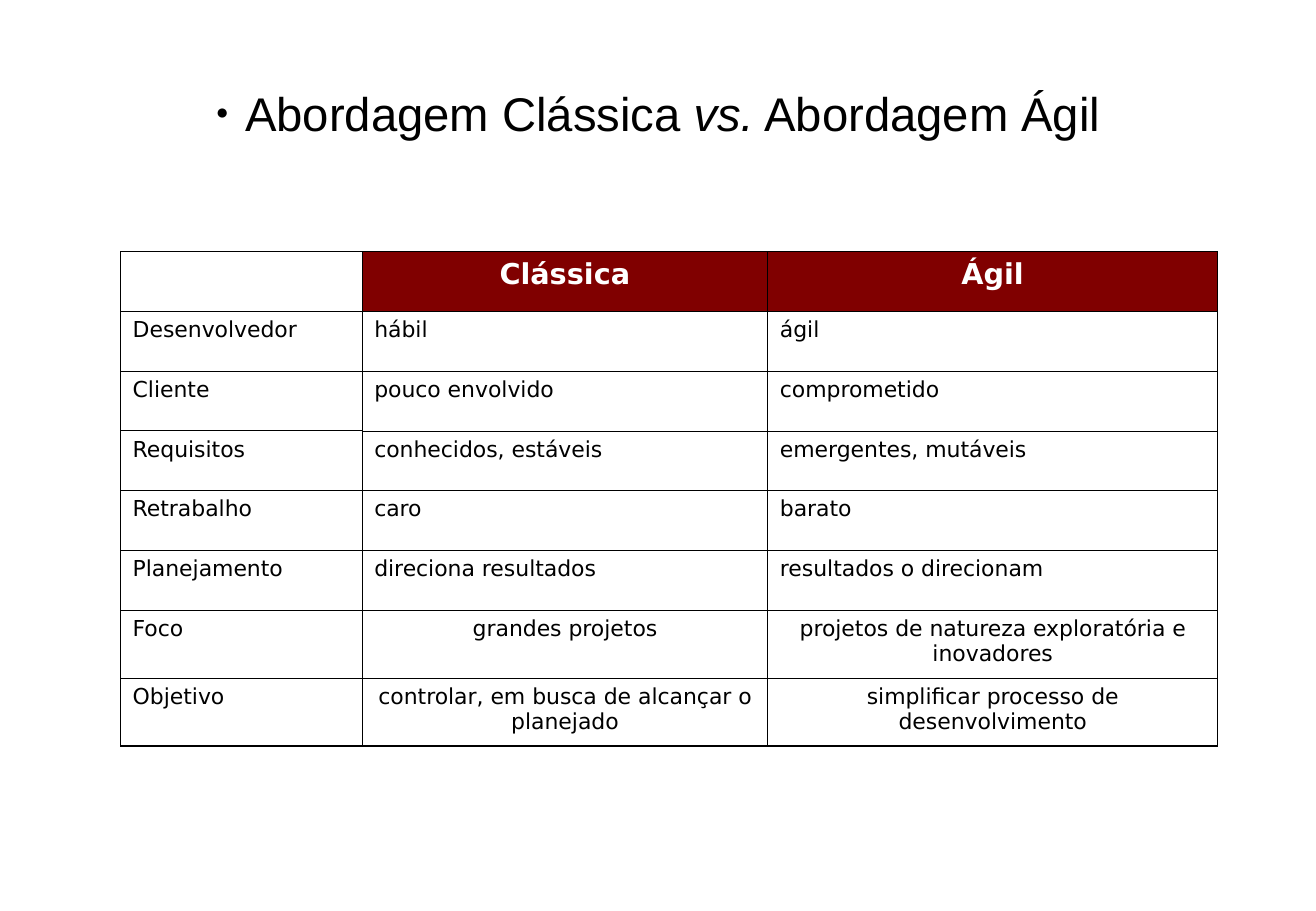
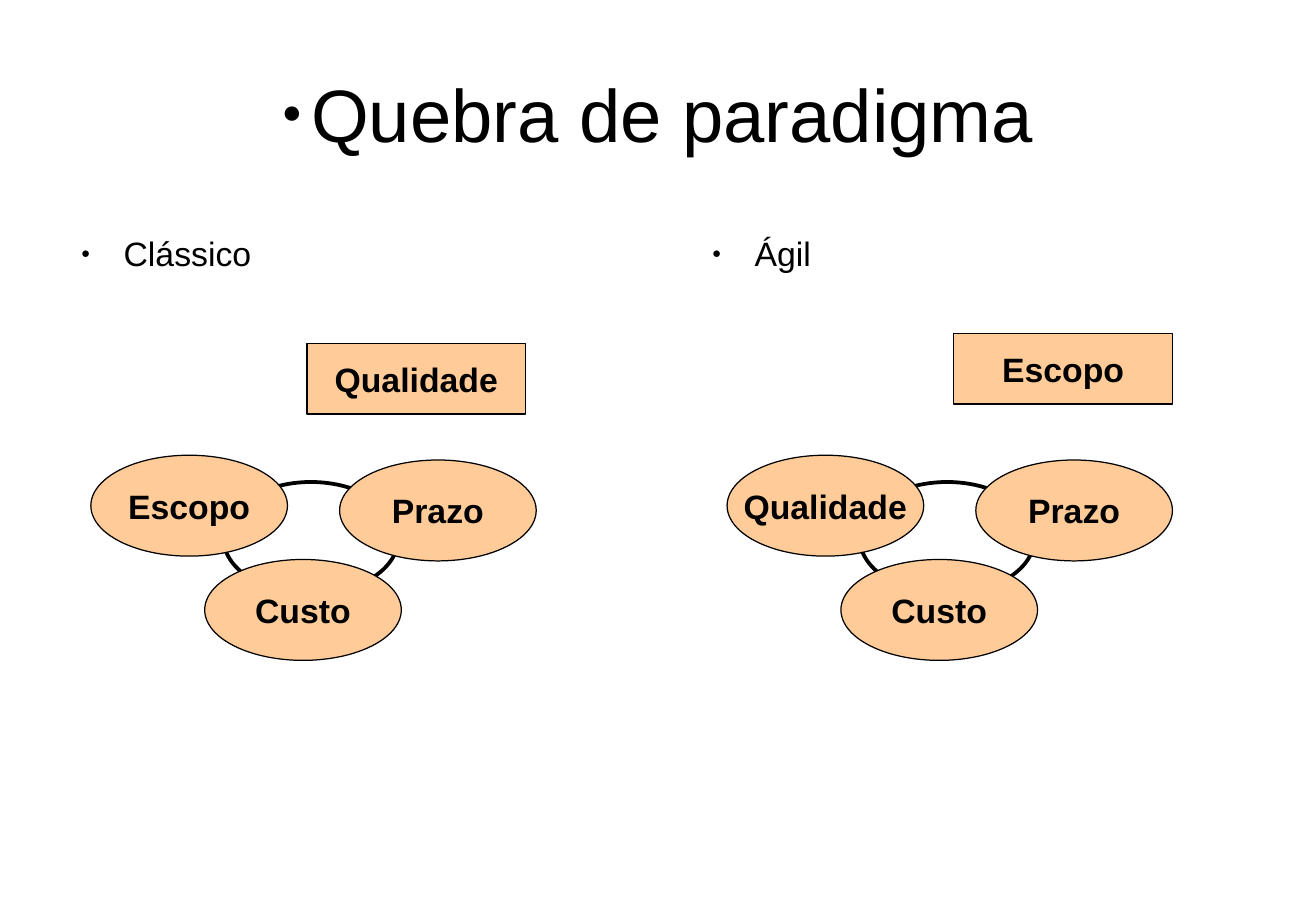
from lxml.etree import SubElement
from pptx import Presentation
from pptx.dml.color import RGBColor
from pptx.enum.shapes import MSO_SHAPE as Shape
from pptx.enum.text import MSO_ANCHOR as Anchor, MSO_AUTO_SIZE as AutoSize, PP_ALIGN as Align
from pptx.oxml.ns import qn
from pptx.util import Cm, Pt

BLACK = RGBColor(0x00, 0x00, 0x00)
WHITE = RGBColor(0xFF, 0xFF, 0xFF)
MAROON = RGBColor(0x80, 0x00, 0x00)
PEACH = RGBColor(0xFF, 0xCC, 0x99)
TITLE_FONT = "Arial"
TABLE_FONT = "DejaVu Sans"
TITLE_ONLY, TWO_CONTENT = 5, 3

COMPARISON_TITLE = [("Abordagem Clássica ", False), ("vs.", True), (" Abordagem Ágil", False)]
COMPARISON = [
    ("", "Clássica", "Ágil"),
    ("Desenvolvedor", "hábil", "ágil"),
    ("Cliente", "pouco envolvido", "comprometido"),
    ("Requisitos", "conhecidos, estáveis", "emergentes, mutáveis"),
    ("Retrabalho", "caro", "barato"),
    ("Planejamento", "direciona resultados", "resultados o direcionam"),
    ("Foco", "grandes projetos", "projetos de natureza exploratória e inovadores"),
    ("Objetivo", "controlar, em busca de alcançar o planejado",
     "simplificar processo de desenvolvimento"),
]
COLUMN_WIDTHS = [5.05, 8.48, 9.4]
ROW_HEIGHTS = [1.25] * 6 + [1.42] * 2
FIRST_CENTRED_ROW = 6
THIN, THICK = 0.45, 0.75

PARADIGM_TITLE = [("Quebra de paradigma", False)]
PARADIGMS = [
    {"name": "Clássico", "body": (1.14, 9.3), "ring_left": 1.9,
     "variables": ["Escopo", "Prazo", "Custo"], "result": ("Qualidade", 6.42, 7.19)},
    {"name": "Ágil", "body": (14.33, 9.55), "ring_left": 15.2,
     "variables": ["Qualidade", "Prazo", "Custo"], "result": ("Escopo", 19.94, 6.98)},
]
DIAGRAM_TOP = 9.52
RING = (2.77, 0.56, 3.66, 2.34)
OVAL_OFFSETS = [(0, 0), (5.2, 0.1), (2.38, 2.18)]
OVAL_SIZE = (4.11, 2.11)
RESULT_SIZE = (4.57, 1.47)


def add_run(para, text, size, font=TITLE_FONT, color=BLACK, bold=False, italic=False):
    span = para.add_run()
    span.text = text
    span.font.name = font
    span.font.size = Pt(size)
    span.font.color.rgb = color
    span.font.bold = bold
    span.font.italic = italic


def place(box, left, top, width, height):
    box.left, box.top, box.width, box.height = Cm(left), Cm(top), Cm(width), Cm(height)


def set_bullet(para, margin, hanging):
    props = para._p.get_or_add_pPr()
    props.set("marL", str(Cm(margin)))
    props.set("indent", str(-Cm(hanging)))
    color = SubElement(props, qn("a:buClr"))
    SubElement(color, qn("a:srgbClr"), val=str(BLACK))
    SubElement(props, qn("a:buSzPct"), val="45000")
    SubElement(props, qn("a:buFont"), typeface=TITLE_FONT)
    SubElement(props, qn("a:buChar"), char="●")


def add_page(deck, layout, title_runs, size):
    page = deck.slides.add_slide(deck.slide_layouts[layout])
    title = page.shapes.title
    place(title, 1.37, 0.76, 24.77, 3.18)
    title.text_frame.auto_size = AutoSize.NONE
    title.text_frame.vertical_anchor = Anchor.MIDDLE
    para = title.text_frame.paragraphs[0]
    para.alignment = Align.CENTER
    set_bullet(para, 0.61, 0.61)
    for text, italic in title_runs:
        add_run(para, text, size, italic=italic)
    return page


def set_borders(cell, widths):
    props = cell._tc.get_or_add_tcPr()
    for side, width in zip("LRTB", widths):
        line = SubElement(props, qn(f"a:ln{side}"), w=str(Pt(width)))
        fill = SubElement(line, qn("a:solidFill"))
        SubElement(fill, qn("a:srgbClr"), val=str(BLACK))


def fill_cell(cell, text, row, column):
    header = row == 0
    last_row, last_column = len(COMPARISON) - 1, len(COLUMN_WIDTHS) - 1
    label = column == 0
    edges = (False, column == last_column, header or label, row == last_row or label)
    set_borders(cell, [THICK if edge else THIN for edge in edges])
    if not text:
        cell.fill.background()
        return
    if header:
        cell.fill.solid()
        cell.fill.fore_color.rgb = MAROON
    else:
        cell.fill.background()
    para = cell.text_frame.paragraphs[0]
    centred = header or (row >= FIRST_CENTRED_ROW and not label)
    para.alignment = Align.CENTER if centred else Align.LEFT
    para.space_before = Pt(4.2 if header else 3.2)
    para.space_after = Pt(5.2 if header else 4)
    add_run(para, text, 17 if header else 13, TABLE_FONT, WHITE if header else BLACK, header)


def add_comparison(page):
    frame = page.shapes.add_table(
        len(COMPARISON), len(COLUMN_WIDTHS), Cm(2.52), Cm(5.26),
        Cm(sum(COLUMN_WIDTHS)), Cm(sum(ROW_HEIGHTS)))
    table = frame.table
    table.first_row = table.horz_banding = False
    for column, width in zip(table.columns, COLUMN_WIDTHS):
        column.width = Cm(width)
    for row, height in zip(table.rows, ROW_HEIGHTS):
        row.height = Cm(height)
    for row, texts in enumerate(COMPARISON):
        for column, text in enumerate(texts):
            fill_cell(table.cell(row, column), text, row, column)


def add_figure(shapes, kind, left, top, size, text="", line=0.75):
    figure = shapes.add_shape(kind, Cm(left), Cm(top), *map(Cm, size))
    figure.shadow.inherit = False
    figure.line.color.rgb = BLACK
    figure.line.width = Pt(line)
    if not text:
        figure.fill.background()
        return
    figure.fill.solid()
    figure.fill.fore_color.rgb = PEACH
    figure.text_frame.word_wrap = False
    figure.text_frame.vertical_anchor = Anchor.MIDDLE
    para = figure.text_frame.paragraphs[0]
    para.alignment = Align.CENTER
    add_run(para, text, 20, bold=True)


def add_paradigm(page, body, paradigm):
    left, height = paradigm["body"]
    place(body, left, 4.75, 12.65, height)
    body.text_frame.auto_size = AutoSize.NONE
    para = body.text_frame.paragraphs[0]
    para.space_before, para.space_after = Pt(5), Pt(6.2)
    set_bullet(para, 1.19, 0.89)
    add_run(para, paradigm["name"], 20)

    group = page.shapes.add_group_shape().shapes
    origin = paradigm["ring_left"]
    x, y, *ring_size = RING
    add_figure(group, Shape.OVAL, origin + x, DIAGRAM_TOP + y, ring_size, line=2.25)
    for text, (x, y) in zip(paradigm["variables"], OVAL_OFFSETS):
        add_figure(group, Shape.OVAL, origin + x, DIAGRAM_TOP + y, OVAL_SIZE, text)

    text, x, y = paradigm["result"]
    add_figure(page.shapes, Shape.RECTANGLE, x, y, RESULT_SIZE, text)


def main():
    deck = Presentation()
    deck.slide_width, deck.slide_height = Cm(27.51), Cm(19.05)
    add_comparison(add_page(deck, TITLE_ONLY, COMPARISON_TITLE, 28))
    page = add_page(deck, TWO_CONTENT, PARADIGM_TITLE, 44)
    bodies = list(page.placeholders)[1:]
    for body, paradigm in zip(bodies, PARADIGMS):
        add_paradigm(page, body, paradigm)
    deck.save("out.pptx")


if __name__ == "__main__":
    main()
